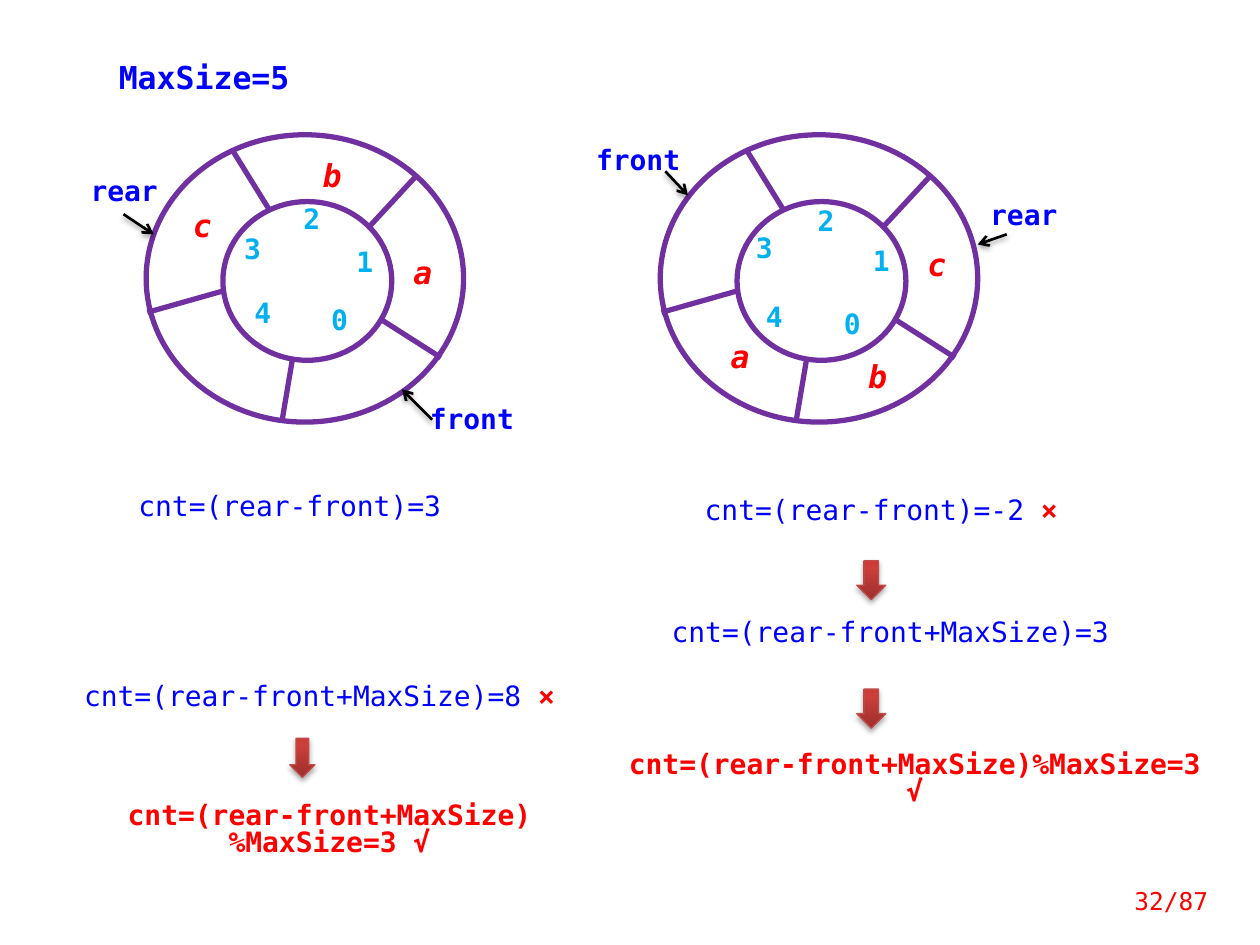
"""Build a slide on counting the elements of a circular queue."""
from copy import deepcopy
from dataclasses import dataclass

from lxml.etree import SubElement
from pptx import Presentation
from pptx.dml.color import RGBColor
from pptx.enum.shapes import MSO_CONNECTOR, MSO_SHAPE
from pptx.enum.text import MSO_ANCHOR, MSO_AUTO_SIZE, PP_ALIGN
from pptx.oxml.ns import qn
from pptx.util import Pt

STRAIGHT = MSO_CONNECTOR.STRAIGHT
ELLIPSE, DOWN_ARROW = MSO_SHAPE.OVAL, MSO_SHAPE.DOWN_ARROW
TOP, MIDDLE = MSO_ANCHOR.TOP, MSO_ANCHOR.MIDDLE
CENTER, RIGHT = PP_ALIGN.CENTER, PP_ALIGN.RIGHT
FIT_SHAPE, NO_FIT = MSO_AUTO_SIZE.SHAPE_TO_FIT_TEXT, MSO_AUTO_SIZE.NONE


@dataclass(frozen=True)
class Theme:
    font: str = "DejaVu Sans Mono"
    blue: str = "0000FF"
    red: str = "FF0000"
    cyan: str = "00B0F0"
    purple: str = "7030A0"
    black: str = "000000"
    white: str = "FFFFFF"
    arrow_edge: str = "BF4C48"
    arrow_stops: tuple = ((0, "9C2F2D"), (0.8, "CB3E3A"), (1, "CE3B37"))
    small: int = 14
    body: int = 16
    large: int = 18


THEME = Theme()

TITLE = ("MaxSize=5", (50.4, 33.8, 132.5, 25.2))
PAGE_NUMBER = ("32/87", (624.2, 500.4, 73.4, 28.8))

RING_SIZE = (181.4, 164.2)
HUB_BOX = (43.9, 38.2, 96.5, 90.7)
SPOKES = [
    ((134.6, 105.8), (168.5, 127.4)),
    ((128.2, 51.8), (154.1, 23.8)),
    ((70.6, 43.2), (49.7, 9.4)),
    ((43.9, 89.3), (0.7, 101.5)),
    ((83.5, 128.9), (77.8, 162.7)),
]

QUEUES = [
    {
        "origin": (83.5, 77),
        "indexes": [(182.9, 176.4), (197.3, 143.3), (167, 118.8), (133.2, 136.1), (139, 172.8)],
        "items": {"a": (230.4, 149), "b": (178.6, 93.6), "c": (104.4, 121.7)},
        "pointers": {
            "front": ((241.2, 233.3), (247, 239.8), (229.7, 222.5)),
            "rear": ((42.5, 103), (70.6, 122.4), (87.8, 133.9)),
        },
    },
    {
        "origin": (377.3, 77),
        "indexes": [(475.9, 178.6), (492.5, 142.6), (460.8, 120.2), (425.5, 135.4), (431.3, 175)],
        "items": {"a": (411.8, 196.6), "b": (490.3, 208.1), "c": (524.2, 144)},
        "pointers": {
            "front": ((336.2, 85), (380.2, 97.9), (393.1, 111.6)),
            "rear": ((556.6, 116.6), (575.3, 133.9), (558.7, 139.7)),
        },
    },
]

FORMULA_HEIGHT = 23
FORMULAS = [
    (("cnt=(rear-front)=3", ""), (50.4, 279.4, 230.4)),
    (("cnt=(rear-front)=-2 ", "×"), (371.5, 281.5, 264.2)),
    (("cnt=(rear-front+MaxSize)=3", ""), (348.5, 351.4, 320.4)),
    (("cnt=(rear-front+MaxSize)=8 ", "×"), (16.6, 388.1, 331.9)),
    (("", "cnt=(rear-front+MaxSize)%MaxSize=3 √"), (22.3, 455.8, 331.9)),
    (("", "cnt=(rear-front+MaxSize)%MaxSize=3 √"), (348.5, 427, 348.5)),
]
STEP_ARROWS = [(489.6, 320.4, 16.6, 22.3), (165.6, 421.9, 14.4, 22.3), (489.6, 393.8, 16.6, 22.3)]


def points(values):
    return [Pt(value) for value in values]


def rgb(value):
    return RGBColor.from_string(value)


def style_span(span, size, color, bold=False, italic=False):
    font = span.font
    font.name, font.size, font.bold, font.italic = THEME.font, Pt(size), bold, italic
    font.color.rgb = rgb(color)


def set_frame(box, insets=(7.2, 3.6), anchor=TOP, fit=FIT_SHAPE, align=CENTER, spacing=0.8):
    frame = box.text_frame
    frame.word_wrap, frame.auto_size, frame.vertical_anchor = True, fit, anchor
    frame.margin_left = frame.margin_right = Pt(insets[0])
    frame.margin_top = frame.margin_bottom = Pt(insets[1])
    para = frame.paragraphs[0]
    para.alignment, para.line_spacing = align, spacing
    return para


def add_label(shapes, text, corner, size, type_size, color, italic=False):
    box = shapes.add_textbox(*points(corner + size))
    para = set_frame(box, insets=(0, 0))
    para.text = text
    style_span(para.runs[0], type_size, color, True, italic)


def set_effects(shape, opacity=0, distance=0):
    effects = SubElement(shape.element.spPr, qn("a:effectLst"))
    if opacity:
        shadow = SubElement(effects, qn("a:outerShdw"), blurRad=str(Pt(3.1)),
                            dist=str(Pt(distance)), dir="5400000", rotWithShape="0")
        color = SubElement(shadow, qn("a:srgbClr"), val=THEME.black)
        SubElement(color, qn("a:alpha"), val=str(opacity * 1000))


def set_line(shape, color, width):
    shape.line.color.rgb = rgb(color)
    shape.line.width = Pt(width)


def add_ellipse(shapes, bounds, fill=None):
    ellipse = shapes.add_shape(ELLIPSE, *points(bounds))
    if fill:
        ellipse.fill.solid()
        ellipse.fill.fore_color.rgb = rgb(fill)
    else:
        ellipse.fill.background()
    set_line(ellipse, THEME.purple, 3)
    set_effects(ellipse)


def add_spoke(shapes, start, end):
    spoke = shapes.add_connector(STRAIGHT, *points(start + end))
    set_line(spoke, THEME.purple, 3)
    set_effects(spoke)


def add_pointer(shapes, start, end):
    pointer = shapes.add_connector(STRAIGHT, *points(start + end))
    set_line(pointer, THEME.black, 1.5)
    SubElement(pointer.element.spPr.find(qn("a:ln")), qn("a:tailEnd"), type="arrow")
    set_effects(pointer, 38, 1.6)


def add_queue(page, queue):
    shapes = page.shapes.add_group_shape().shapes
    left, top = queue["origin"]
    add_ellipse(shapes, (left, top) + RING_SIZE)
    add_ellipse(shapes, (left + HUB_BOX[0], top + HUB_BOX[1]) + HUB_BOX[2:], THEME.white)
    for ends in SPOKES:
        add_spoke(shapes, *((left + x, top + y) for x, y in ends))
    for index, corner in enumerate(queue["indexes"]):
        add_label(shapes, str(index), corner, (22.3, 15.8), THEME.body, THEME.cyan)
    for item, corner in queue["items"].items():
        add_label(shapes, item, corner, (22.3, 17.3), THEME.large, THEME.red, True)
    for name, (corner, start, end) in queue["pointers"].items():
        add_label(shapes, name, corner, (56.9, 15.8), THEME.body, THEME.blue)
        add_pointer(shapes, start, end)


def add_formula(page, parts, bounds):
    para = set_frame(page.shapes.add_textbox(*points(bounds + (FORMULA_HEIGHT,))))
    for text, color, bold in zip(parts, (THEME.blue, THEME.red), (False, True)):
        if text:
            span = para.add_run()
            span.text = text
            style_span(span, THEME.body, color, bold)


def add_step_arrow(page, bounds):
    arrow = page.shapes.add_shape(DOWN_ARROW, *points(bounds))
    arrow.fill.gradient()
    arrow.fill.gradient_angle = 90
    stop_list = arrow.element.spPr.find(".//" + qn("a:gsLst"))
    stop_list.insert(1, deepcopy(stop_list[0]))
    for stop, (position, color) in zip(arrow.fill.gradient_stops, THEME.arrow_stops):
        stop.position, stop.color.rgb = position, rgb(color)
    set_line(arrow, THEME.arrow_edge, 0.75)
    set_effects(arrow, 35, 1.8)


def main():
    deck = Presentation()
    deck.slide_width, deck.slide_height = Pt(720), Pt(540)
    page = deck.slides.add_slide(deck.slide_layouts[5])
    title = page.shapes.title
    title.left, title.top, title.width, title.height = points(TITLE[1])
    para = set_frame(title, fit=NO_FIT)
    para.text = TITLE[0]
    style_span(para.runs[0], THEME.large, THEME.blue, True)
    for queue in QUEUES:
        add_queue(page, queue)
    for parts, bounds in FORMULAS:
        add_formula(page, parts, bounds)
    for bounds in STEP_ARROWS:
        add_step_arrow(page, bounds)
    number = page.shapes.add_textbox(*points(PAGE_NUMBER[1]))
    para = set_frame(number, anchor=MIDDLE, fit=NO_FIT, align=RIGHT, spacing=1.0)
    para.text = PAGE_NUMBER[0]
    style_span(para.runs[0], THEME.small, THEME.red)
    deck.save("out.pptx")


if __name__ == "__main__":
    main()
